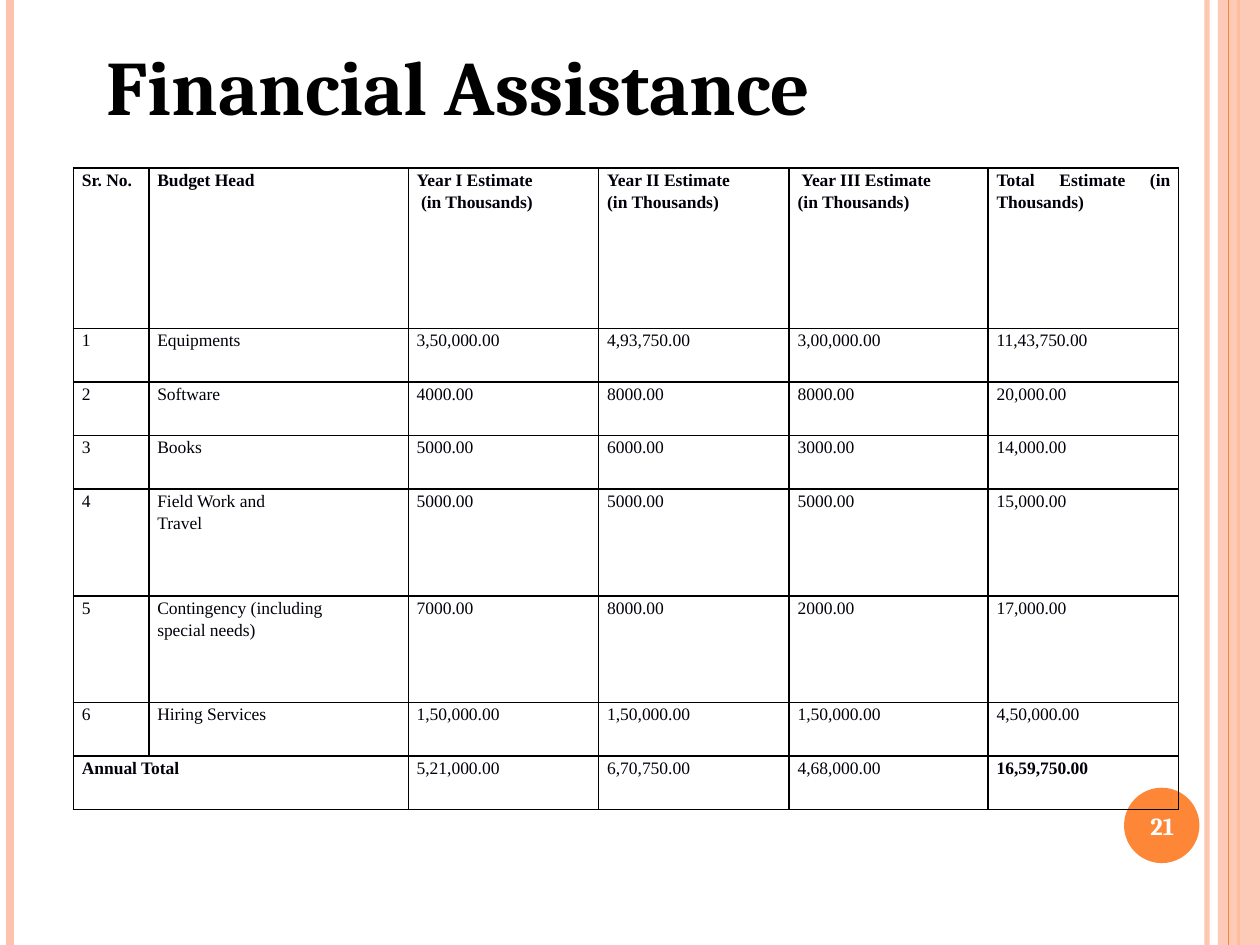
from lxml import etree
from pptx import Presentation
from pptx import util as u
from pptx.dml.color import RGBColor
from pptx.enum import shapes, text
from pptx.oxml import ns

BLACK = RGBColor(0x00, 0x00, 0x00)
INK = RGBColor(0x00, 0x00, 0x0A)
WHITE = RGBColor(0xFF, 0xFF, 0xFF)
ORANGE = RGBColor(0xFE, 0x86, 0x37)
PEACH = RGBColor(0xFE, 0xC3, 0xAE)

SLIDE_WIDTH, SLIDE_HEIGHT = 25.4, 19.05

COLUMN_WIDTHS = [1.52, 5.23, 3.84, 3.84, 4.01, 3.84]
ROW_HEIGHTS = [3.23, 1.08, 1.08, 1.08, 2.15, 2.15, 1.08, 1.08]
BUDGET = [
    ["Sr. No.", "Budget Head", "Year I Estimate\n (in Thousands)",
     "Year II Estimate \n(in Thousands)", " Year III Estimate \n(in Thousands)",
     "Total Estimate (in Thousands)"],
    ["1", "Equipments", "3,50,000.00", "4,93,750.00", "3,00,000.00", "11,43,750.00"],
    ["2", "Software", "4000.00", "8000.00", "8000.00", "20,000.00"],
    ["3", "Books", "5000.00", "6000.00", "3000.00", "14,000.00"],
    ["4", "Field Work and\nTravel", "5000.00", "5000.00", "5000.00", "15,000.00"],
    ["5", "Contingency (including\nspecial needs)", "7000.00", "8000.00", "2000.00", "17,000.00"],
    ["6", "Hiring Services", "1,50,000.00", "1,50,000.00", "1,50,000.00", "4,50,000.00"],
    ["Annual Total", "", "5,21,000.00", "6,70,750.00", "4,68,000.00", "16,59,750.00"],
]


def set_format(target, values):
    for name, value in values.items():
        setattr(target, name, value)


def set_alpha(properties, percent):
    color = next(properties.iter(ns.qn("a:srgbClr")))
    etree.SubElement(color, ns.qn("a:alpha"), val=str(percent * 1000))


class SlideBuilder:
    title_font = {"name": "Cambria", "size": u.Pt(44), "bold": True}
    number_font = {"name": "Cambria", "size": u.Pt(14), "bold": True}
    cell_font = {"name": "Times New Roman", "size": u.Pt(10)}
    cell_paragraph = {"alignment": text.PP_ALIGN.JUSTIFY, "line_spacing": 1.15}
    cell_margins = {"margin_left": u.Cm(0.17), "margin_right": u.Cm(0.17),
                    "margin_top": 0, "margin_bottom": 0}

    def __init__(self, presentation):
        self.slide = presentation.slides.add_slide(presentation.slide_layouts[5])

    def fill_text(self, frame, content, font, color, paragraph_format):
        frame.text = content
        for paragraph in frame.paragraphs:
            set_format(paragraph, paragraph_format)
            for run in paragraph.runs:
                set_format(run.font, font)
                run.font.color.rgb = color

    def title(self, content, left, top, width, height):
        shape = self.slide.shapes.title
        set_format(shape, {"left": u.Cm(left), "top": u.Cm(top),
                           "width": u.Cm(width), "height": u.Cm(height)})
        set_format(shape.text_frame, {"vertical_anchor": text.MSO_ANCHOR.TOP,
                                      "word_wrap": True,
                                      "auto_size": text.MSO_AUTO_SIZE.NONE})
        self.fill_text(shape.text_frame, content, self.title_font, BLACK,
                       {"alignment": text.PP_ALIGN.LEFT})

    def vertical_line(self, x, color, width, alpha=100):
        line = self.slide.shapes.add_connector(
            shapes.MSO_CONNECTOR.STRAIGHT, u.Cm(x), 0, u.Cm(x), u.Cm(SLIDE_HEIGHT))
        line.line.color.rgb = color
        line.line.width = u.Pt(width)
        properties = line._element.spPr
        if alpha < 100:
            set_alpha(properties, alpha)
        etree.SubElement(properties, ns.qn("a:effectLst"))

    def filled_shape(self, kind, left, top, width, height, color, alpha=100):
        shape = self.slide.shapes.add_shape(
            kind, u.Cm(left), u.Cm(top), u.Cm(width), u.Cm(height))
        shape.shadow.inherit = False
        shape.fill.solid()
        shape.fill.fore_color.rgb = color
        shape.line.fill.background()
        if alpha < 100:
            set_alpha(shape._element.spPr, alpha)

    def page_number(self, content, left, top, width, height):
        box = self.slide.shapes.add_textbox(
            u.Cm(left), u.Cm(top), u.Cm(width), u.Cm(height))
        set_format(box.text_frame, {"word_wrap": True,
                                    "vertical_anchor": text.MSO_ANCHOR.MIDDLE})
        self.fill_text(box.text_frame, content, self.number_font, WHITE,
                       {"alignment": text.PP_ALIGN.CENTER})

    def cell_borders(self, cell):
        properties = cell._tc.get_or_add_tcPr()
        for index, side in enumerate(("lnL", "lnR", "lnT", "lnB")):
            border = etree.Element(ns.qn("a:" + side), w=str(u.Pt(1)))
            fill = etree.SubElement(border, ns.qn("a:solidFill"))
            etree.SubElement(fill, ns.qn("a:srgbClr"), val=str(BLACK))
            properties.insert(index, border)

    def table(self, rows, left, top, widths, heights):
        table = self.slide.shapes.add_table(
            len(rows), len(widths), u.Cm(left), u.Cm(top),
            u.Cm(sum(widths)), u.Cm(sum(heights))).table
        set_format(table, {"first_row": False, "horz_banding": False})
        for column, width in zip(table.columns, widths):
            column.width = u.Cm(width)
        for row, height in zip(table.rows, heights):
            row.height = u.Cm(height)
        last_row, last_column = len(rows) - 1, len(widths) - 1
        table.cell(last_row, 0).merge(table.cell(last_row, 1))
        for r, row in enumerate(rows):
            for c, content in enumerate(row):
                cell = table.cell(r, c)
                set_format(cell, self.cell_margins)
                cell.fill.background()
                self.cell_borders(cell)
                if cell.is_spanned:
                    continue
                bold = r == 0 or (r == last_row and c in (0, last_column))
                self.fill_text(cell.text_frame, content, {**self.cell_font, "bold": bold},
                               INK, self.cell_paragraph)


presentation = Presentation()
set_format(presentation, {"slide_width": u.Cm(SLIDE_WIDTH),
                          "slide_height": u.Cm(SLIDE_HEIGHT)})
builder = SlideBuilder(presentation)

# Side bands and number disc
builder.vertical_line(24.33, PEACH, 3, alpha=93)
builder.vertical_line(0.21, PEACH, 4.5)
builder.vertical_line(24.97, ORANGE, 1.5)
builder.filled_shape(shapes.MSO_SHAPE.RECTANGLE, 24.55, 0, 0.85, SLIDE_HEIGHT, PEACH, alpha=87)
builder.vertical_line(24.77, ORANGE, 0.75)
builder.filled_shape(shapes.MSO_SHAPE.OVAL, 22.66, 15.88, 1.52, 1.52, ORANGE)

# Budget table
builder.table(BUDGET, 1.48, 3.39, COLUMN_WIDTHS, ROW_HEIGHTS)

# Title and page number
builder.title("Financial Assistance", 1.9, 0.64, 19.25, 2.9)
builder.page_number("21", 22.58, 15.93, 1.7, 1.45)

presentation.save("out.pptx")
